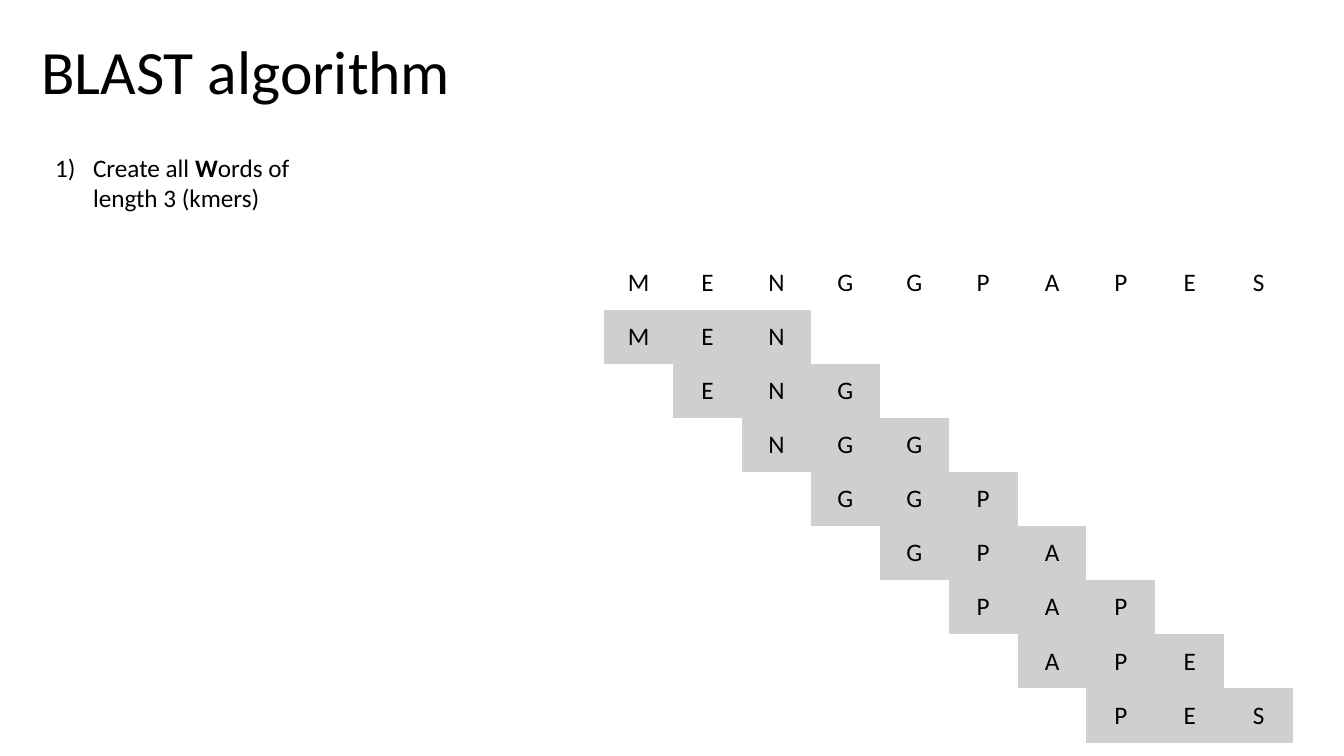
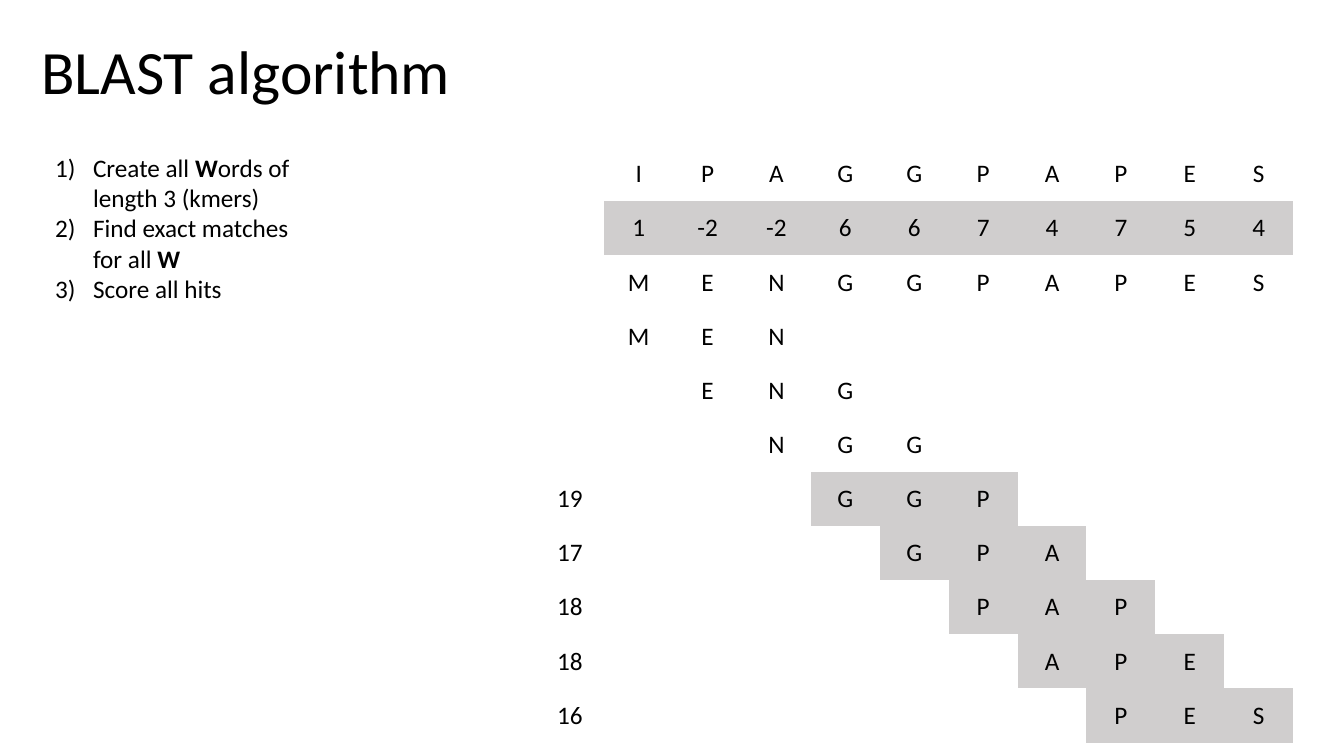
from lxml.etree import SubElement
from pptx import Presentation
from pptx.dml.color import RGBColor
from pptx.enum.text import MSO_ANCHOR as Anchor, PP_ALIGN as Align
from pptx.oxml.ns import qn
from pptx.util import Pt

TITLE = "BLAST algorithm"
QUERY = "MENGGPAPES"
WORD_LENGTH = 3
WORDS = [QUERY[i:i + WORD_LENGTH] for i in range(len(QUERY) - WORD_LENGTH + 1)]

STEPS = [
    [("Create all ", False), ("W", True), ("ords of length 3 (kmers)", False)],
    [("Find exact matches for all ", False), ("W", True)],
    [("Score all hits", False)],
]
SLIDES = [
    {"steps": STEPS[:1], "subject": [], "scores": [],
     "hits": dict.fromkeys(WORDS, "")},
    {"steps": STEPS, "subject": list("IPAGGPAPES"),
     "scores": ["1", "-2", "-2", "6", "6", "7", "4", "7", "5", "4"],
     "hits": {"GGP": "19", "GPA": "17", "PAP": "18", "APE": "18", "PES": "16"}},
]

BLACK, WHITE, GREY = "000000", "FFFFFF", "D0CECE"
TITLE_FONT = {"name": "Calibri", "size": Pt(44)}
BODY_FONT = {"name": "Calibri", "size": Pt(18)}
TITLE_BOX = (22.3, 0.7, 828, 104.4)
STEPS_LEFT, STEPS_WIDTH, STEP_LINE = 32.4, 201.6, 21.8
GRID_LEFT, GRID_TOP = 382.4, 105.1
COLUMN_WIDTH, ROW_HEIGHT = 49.22, 38.67
STEP_INDENT = 27
NO_GRID_STYLE = "{2D5ABB26-0587-4C30-8999-92F81FD0307C}"


def color(value):
    return RGBColor.from_string(value)


def apply(target, values):
    for key, value in values.items():
        setattr(target, key, value)


def style_font(font, values):
    apply(font, values)
    font.color.rgb = color(BLACK)


def add_text_frame(slide, box, anchor):
    frame = slide.shapes.add_textbox(*map(Pt, box)).text_frame
    apply(frame, {"word_wrap": True, "vertical_anchor": anchor})
    return frame


def add_title(slide):
    paragraph = add_text_frame(slide, TITLE_BOX, Anchor.MIDDLE).paragraphs[0]
    paragraph.line_spacing = 0.9
    paragraph.text = TITLE
    style_font(paragraph.runs[0].font, TITLE_FONT)


def number_step(paragraph):
    properties = paragraph._p.get_or_add_pPr()
    properties.set("marL", str(Pt(STEP_INDENT)))
    properties.set("indent", str(-Pt(STEP_INDENT)))
    SubElement(properties, qn("a:buFont"), typeface="+mj-lt")
    SubElement(properties, qn("a:buAutoNum"), type="arabicParenR")


def add_steps(slide, steps):
    height = 7.4 + 2 * STEP_LINE * len(steps)
    box = (STEPS_LEFT, GRID_TOP, STEPS_WIDTH, height)
    frame = add_text_frame(slide, box, Anchor.TOP)
    for index, step in enumerate(steps):
        paragraph = frame.add_paragraph() if index else frame.paragraphs[0]
        number_step(paragraph)
        for text, bold in step:
            run = paragraph.add_run()
            run.text = text
            style_font(run.font, {**BODY_FONT, "bold": bold})


def alignment_rows(subject, scores, hits):
    blank = [""] * len(QUERY)
    rows = [("", subject or blank, False), ("", scores or blank, bool(scores)),
            ("", list(QUERY), False)]
    for start, word in enumerate(WORDS):
        letters = blank[:]
        letters[start:start + WORD_LENGTH] = word
        rows.append((hits.get(word, ""), letters, word in hits))
    return rows


def fill_cell(cell, text):
    cell.vertical_anchor = Anchor.MIDDLE
    paragraph = cell.text_frame.paragraphs[0]
    paragraph.alignment = Align.CENTER
    paragraph.text = text
    style_font(paragraph.font, BODY_FONT)
    for run in paragraph.runs:
        style_font(run.font, BODY_FONT)


def add_alignment(slide, rows):
    columns = len(QUERY) + 1
    frame = slide.shapes.add_table(
        len(rows), columns, Pt(GRID_LEFT), Pt(GRID_TOP),
        Pt(COLUMN_WIDTH * columns), Pt(ROW_HEIGHT * len(rows)))
    table = frame.table
    apply(table, {"first_row": False, "horz_banding": False})
    frame._element.find(".//" + qn("a:tableStyleId")).text = NO_GRID_STYLE
    for column in table.columns:
        column.width = Pt(COLUMN_WIDTH)
    for line, (total, letters, shaded) in zip(table.rows, rows):
        line.height = Pt(ROW_HEIGHT)
        label, *residues = line.cells
        fill_cell(label, total)
        label.fill.background()
        for cell, letter in zip(residues, letters):
            fill_cell(cell, letter)
            cell.fill.solid()
            cell.fill.fore_color.rgb = color(GREY if shaded and letter else WHITE)


def main():
    deck = Presentation()
    apply(deck, {"slide_width": Pt(960), "slide_height": Pt(540)})
    for content in SLIDES:
        slide = deck.slides.add_slide(deck.slide_layouts[6])
        add_title(slide)
        add_alignment(slide, alignment_rows(
            content["subject"], content["scores"], content["hits"]))
        add_steps(slide, content["steps"])
    deck.save("out.pptx")


if __name__ == "__main__":
    main()
